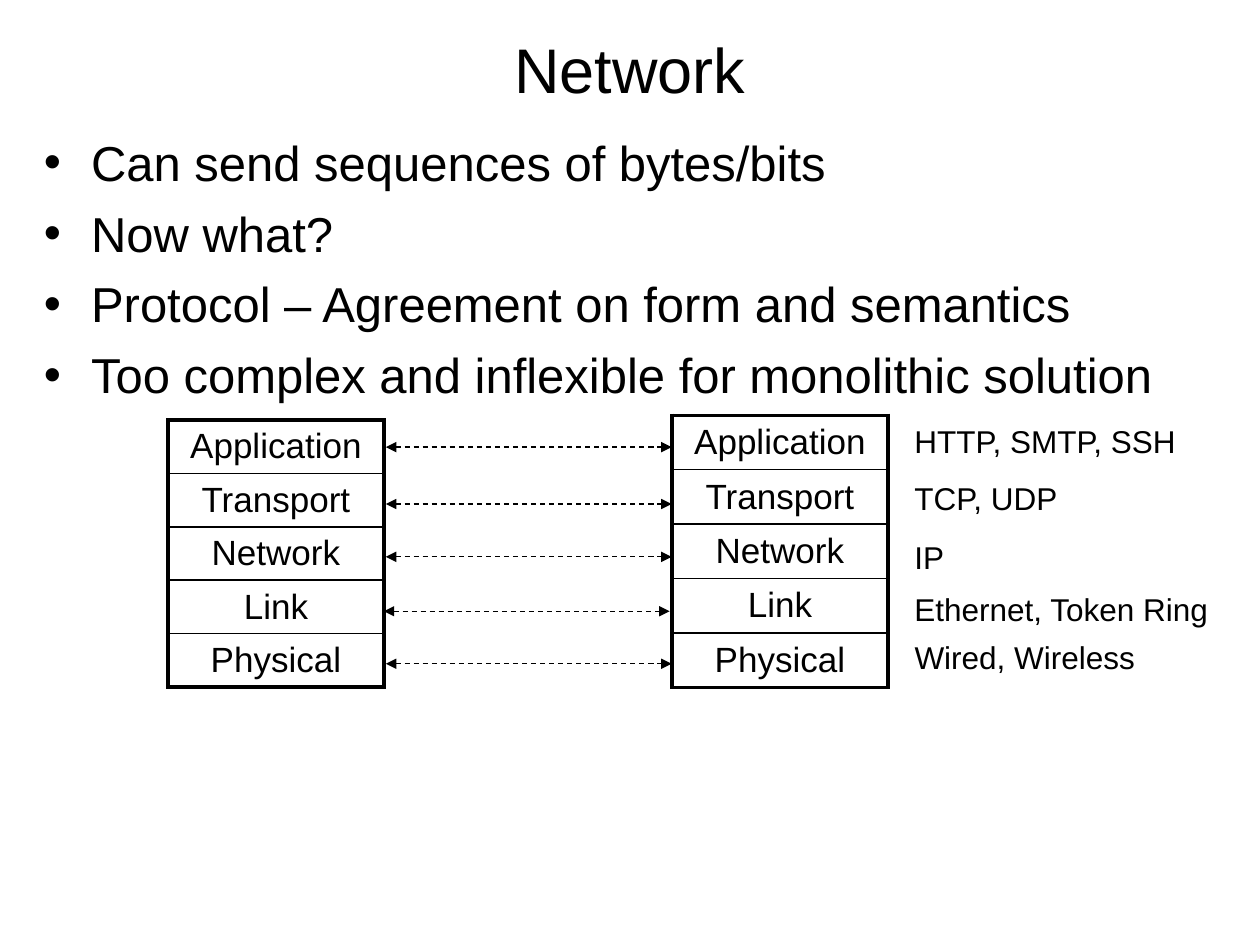
"""Build the Network slide: bullets above two linked protocol stacks."""
from lxml import etree
from pptx import Presentation
from pptx.dml.color import RGBColor
from pptx.enum.dml import MSO_LINE
from pptx.enum.shapes import MSO_CONNECTOR
from pptx.enum.text import MSO_ANCHOR, PP_ALIGN
from pptx.oxml.ns import qn
from pptx.util import Pt

BLACK = RGBColor(0, 0, 0)
FONT = "Arial"
CENTER, LEFT = PP_ALIGN.CENTER, PP_ALIGN.LEFT
MIDDLE = MSO_ANCHOR.MIDDLE
STRAIGHT = MSO_CONNECTOR.STRAIGHT
DASH = MSO_LINE.DASH

TITLE = "Network"
BULLETS = [
    "Can send sequences of bytes/bits",
    "Now what?",
    "Protocol – Agreement on form and semantics",
    "Too complex and inflexible for monolithic solution",
]
LAYERS = ["Application", "Transport", "Network", "Link", "Physical"]
STACKS = [(96, 240, 29.6), (384, 237.3, 31.1)]
STACK_WIDTH = 123.4
OUTER, INNER = 2.25, 1
EXAMPLES = [
    ("HTTP, SMTP, SSH", 237.6, 168.5),
    ("TCP, UDP", 270, 98.6),
    ("IP", 304, 31.7),
    ("Ethernet, Token Ring", 333.5, 184.3),
    ("Wired, Wireless", 361, 140.4),
]
EXAMPLE_LEFT, EXAMPLE_HEIGHT = 515.5, 29
ARROWS = [(220.5, 255.5), (220.5, 288), (220.5, 318.2), (219.3, 349.3), (220.5, 379.3)]
ARROW_LENGTH = 163.3


def style(para, size, align=LEFT):
    """Set the font and alignment of one paragraph."""
    para.font.name = FONT
    para.font.size = Pt(size)
    para.font.color.rgb = BLACK
    para.alignment = align


def add_bullet(para):
    """Give a paragraph a hanging round bullet."""
    props = para._p.get_or_add_pPr()
    props.set("marL", str(Pt(27)))
    props.set("indent", str(-Pt(27)))
    bullet_font = etree.Element(qn("a:buFont"), typeface=FONT)
    bullet = etree.Element(qn("a:buChar"), char="•")
    default_run = props.find(qn("a:defRPr"))
    default_run.addprevious(bullet_font)
    default_run.addprevious(bullet)


def set_borders(cell, widths):
    """Draw black cell borders, with widths keyed by edge tag."""
    props = cell._tc.get_or_add_tcPr()
    for position, (edge, width) in enumerate(widths.items()):
        line = etree.Element(qn(f"a:{edge}"), w=str(Pt(width)))
        fill = etree.SubElement(line, qn("a:solidFill"))
        etree.SubElement(fill, qn("a:srgbClr"), val=str(BLACK))
        props.insert(position, line)


def add_stack(page, left, top, row_height):
    """Add one protocol stack as a single-column table."""
    frame = page.shapes.add_table(len(LAYERS), 1, Pt(left), Pt(top),
                                  Pt(STACK_WIDTH), Pt(row_height * len(LAYERS)))
    table = frame.table
    table.first_row = False
    table.horz_banding = False
    last = len(LAYERS) - 1
    for index, layer in enumerate(LAYERS):
        table.rows[index].height = Pt(row_height)
        cell = table.cell(index, 0)
        cell.text = layer
        cell.margin_top = cell.margin_bottom = Pt(3.25)
        cell.vertical_anchor = MIDDLE
        cell.fill.background()
        style(cell.text_frame.paragraphs[0], 20, CENTER)
        set_borders(cell, {
            "lnL": OUTER,
            "lnR": OUTER,
            "lnT": OUTER if index == 0 else INNER,
            "lnB": OUTER if index == last else INNER,
        })


def add_arrow(page, left, y):
    """Add a dashed arrow with a head at both ends."""
    arrow = page.shapes.add_connector(STRAIGHT, Pt(left), Pt(y),
                                      Pt(left + ARROW_LENGTH), Pt(y))
    arrow.line.color.rgb = BLACK
    arrow.line.width = Pt(0.75)
    arrow.line.dash_style = DASH
    outline = arrow.line._get_or_add_ln()
    for end in ("headEnd", "tailEnd"):
        etree.SubElement(outline, qn(f"a:{end}"), type="triangle")
    etree.SubElement(arrow._element.spPr, qn("a:effectLst"))


deck = Presentation()
deck.slide_width, deck.slide_height = Pt(720), Pt(540)
page = deck.slides.add_slide(deck.slide_layouts[5])

title = page.shapes.title
title.left, title.top, title.width, title.height = Pt(36), Pt(12), Pt(648), Pt(54)
title.text_frame.text = TITLE
title.text_frame.vertical_anchor = MIDDLE
style(title.text_frame.paragraphs[0], 36, CENTER)

body = page.shapes.add_textbox(Pt(18), Pt(72), Pt(684), Pt(258)).text_frame
body.word_wrap = True
body.text = "\n".join(BULLETS)
for para in body.paragraphs:
    style(para, 28)
    para.space_before = Pt(6.9)
    add_bullet(para)

for stack in STACKS:
    add_stack(page, *stack)

for arrow_start in ARROWS:
    add_arrow(page, *arrow_start)

for text, top, width in EXAMPLES:
    box = page.shapes.add_textbox(Pt(EXAMPLE_LEFT), Pt(top), Pt(width), Pt(EXAMPLE_HEIGHT))
    box.text_frame.word_wrap = False
    box.text_frame.text = text
    style(box.text_frame.paragraphs[0], 18)

deck.save("out.pptx")
